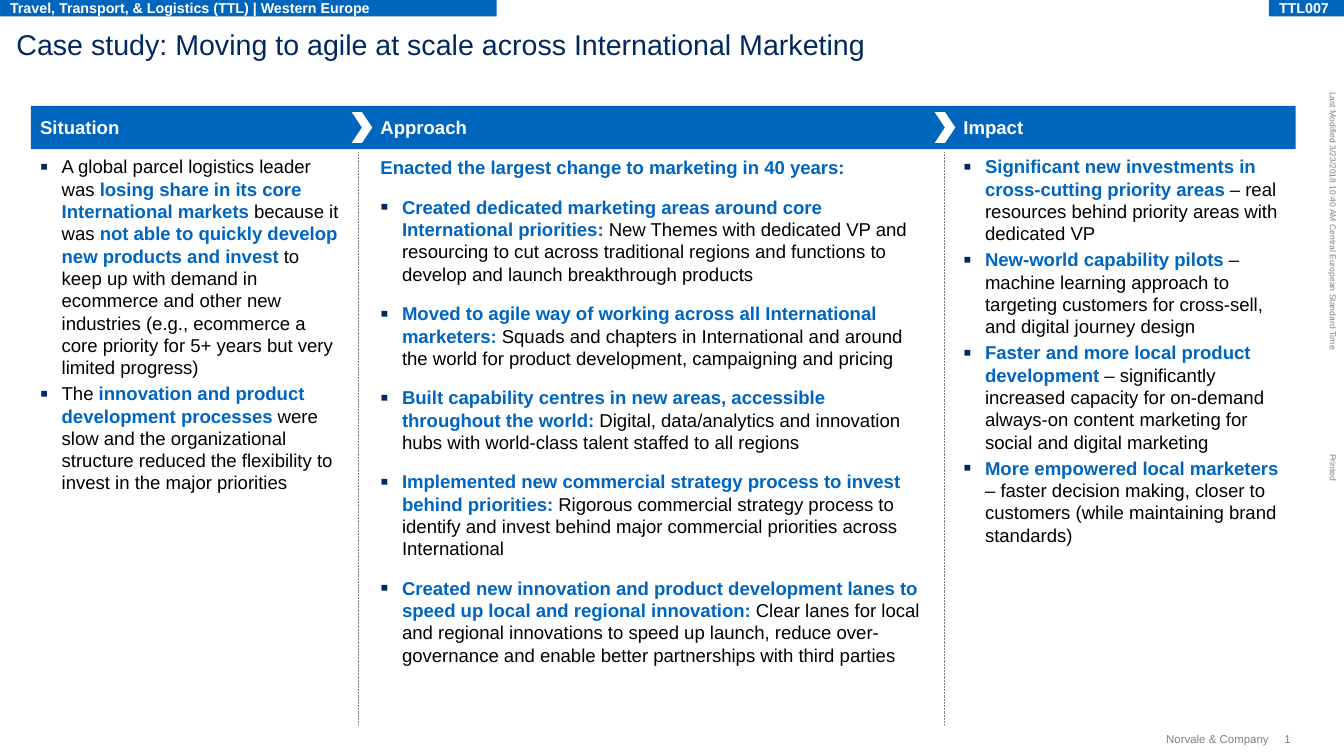
from dataclasses import dataclass

from lxml import etree
from pptx import Presentation
from pptx.dml.color import RGBColor
from pptx.enum.dml import MSO_LINE_DASH_STYLE as Dash
from pptx.enum.shapes import MSO_CONNECTOR_TYPE as Connector, MSO_SHAPE as Shape
from pptx.enum.text import MSO_ANCHOR as Anchor, PP_ALIGN as Align
from pptx.oxml.ns import qn
from pptx.util import Inches, Pt


@dataclass(frozen=True)
class Theme:
    font: str = "Arial"
    blue: str = "0065BD"
    navy: str = "002960"
    white: str = "FFFFFF"
    black: str = "000000"
    gray: str = "808080"
    title: float = 20
    body: float = 13
    banner: float = 10
    footer: float = 8
    stamp: float = 6


THEME = Theme()
INDENT = 0.21

# Column content; ** marks the highlighted words
SITUATION = [
    "A global parcel logistics leader was **losing share in its core International markets **because it was "
    "**not able to quickly develop new products and invest **to keep up with demand in ecommerce and other "
    "new industries (e.g., ecommerce a core priority for 5+ years but very limited progress)",
    "The **innovation and product development processes **were slow and the organizational structure reduced "
    "the flexibility to invest in the major priorities",
]
APPROACH_LEAD = "**Enacted the largest change to marketing in 40 years:**"
APPROACH = [
    "**Created dedicated marketing areas around core International priorities: **New Themes with dedicated VP "
    "and resourcing to cut across traditional regions and functions to develop and launch breakthrough products",
    "**Moved to agile way of working across all International marketers: **Squads and chapters in International "
    "and around the world for product development, campaigning and pricing",
    "**Built capability centres in new areas, accessible throughout the world: **Digital, data/analytics and "
    "innovation hubs with world-class talent staffed to all regions",
    "**Implemented new commercial strategy process to invest behind priorities: **Rigorous commercial strategy "
    "process to identify and invest behind major commercial priorities across International",
    "**Created new innovation and product development lanes to speed up local and regional innovation: **Clear "
    "lanes for local and regional innovations to speed up launch, reduce over-governance and enable better "
    "partnerships with third parties",
]
IMPACT = [
    "**Significant new investments in cross-cutting priority areas **– real resources behind priority areas "
    "with dedicated VP",
    "**New-world capability pilots **– machine learning approach to targeting customers for cross-sell, and "
    "digital journey design",
    "**Faster and more local product development **– significantly increased capacity for on-demand always-on "
    "content marketing for social and digital marketing",
    "**More empowered local marketers **– faster decision making, closer to customers (while maintaining brand "
    "standards)",
]


def color(value):
    return RGBColor.from_string(value)


def add_bullet(paragraph):
    properties = paragraph._p.get_or_add_pPr()
    properties.set("marL", str(Inches(INDENT)))
    properties.set("indent", str(-Inches(INDENT)))
    bullet_color = etree.SubElement(properties, qn("a:buClr"))
    etree.SubElement(bullet_color, qn("a:srgbClr"), val=THEME.navy)
    etree.SubElement(properties, qn("a:buSzPct"), val="125000")
    etree.SubElement(properties, qn("a:buFont"), typeface=THEME.font)
    etree.SubElement(properties, qn("a:buChar"), char="▪")


def write(paragraph, text, *, size=THEME.body, ink=THEME.black, bold=False, align=Align.LEFT,
          bullet=False, before=0):
    """Write text; parts between ** marks become bold and blue."""
    if bullet:
        add_bullet(paragraph)
    paragraph.alignment = align
    paragraph.space_before = Pt(before)
    for index, part in enumerate(text.split("**")):
        if part:
            highlighted = index % 2 == 1
            run = paragraph.add_run()
            run.text = part
            run.font.name = THEME.font
            run.font.size = Pt(size)
            run.font.bold = bold or highlighted
            run.font.color.rgb = color(THEME.blue if highlighted else ink)


def add_text(slide, box, text, *, anchor=Anchor.TOP, wrap=True, bottom=0, rotation=0, **style):
    shape = slide.shapes.add_textbox(*map(Inches, box))
    shape.rotation = rotation
    frame = shape.text_frame
    frame.margin_left = frame.margin_right = frame.margin_top = 0
    frame.margin_bottom = Inches(bottom)
    frame.word_wrap = wrap
    frame.vertical_anchor = anchor
    write(frame.paragraphs[0], text, **style)
    return frame


def add_block(slide, box, fill, kind=Shape.RECTANGLE):
    shape = slide.shapes.add_shape(kind, *map(Inches, box))
    shape.shadow.inherit = False
    shape.fill.solid()
    shape.fill.fore_color.rgb = color(fill)
    shape.line.fill.background()
    return shape


def add_banner(slide, left, width, text):
    frame = add_block(slide, (left, 0, width, 0.16), THEME.blue).text_frame
    frame.word_wrap = False
    frame.vertical_anchor = Anchor.MIDDLE
    write(frame.paragraphs[0], text, size=THEME.banner, ink=THEME.white, bold=True)


def add_divider(slide, x):
    line = slide.shapes.add_connector(Connector.STRAIGHT, Inches(x), Inches(1.48), Inches(x), Inches(7.05))
    line.line.color.rgb = color(THEME.gray)
    line.line.width = Pt(0.5)
    line.line.dash_style = Dash.ROUND_DOT
    etree.SubElement(line._element.spPr, qn("a:effectLst"))


def add_column(slide, left, width, heading, body, bullets, gap, lead=None):
    add_text(slide, (left, 1.12, width, 0.24), heading, anchor=Anchor.BOTTOM, bottom=0.02,
             ink=THEME.white, bold=True)
    top, height = body
    first, rest = (lead, bullets) if lead else (bullets[0], bullets[1:])
    frame = add_text(slide, (left, top, width, height), first, bullet=lead is None)
    for text in rest:
        write(frame.add_paragraph(), text, bullet=True, before=gap)


def main():
    presentation = Presentation()
    presentation.slide_width = Inches(13.07)
    presentation.slide_height = Inches(7.35)
    slide = presentation.slides.add_slide(presentation.slide_layouts[6])

    # Side stamps and footer
    stamp = dict(rotation=90, wrap=False, size=THEME.stamp, ink=THEME.gray)
    add_text(slide, (11.69, 2.12, 2.55, 0.1),
             "Last Modified 3/23/2018 10:40 AM Central European Standard Time", **stamp)
    add_text(slide, (12.83, 4.5, 0.27, 0.1), "Printed", **stamp)
    footer = dict(anchor=Anchor.MIDDLE, wrap=False, size=THEME.footer, ink=THEME.gray)
    add_text(slide, (12.49, 7.12, 0.14, 0.13), "1", **footer)
    add_text(slide, (11.23, 7.12, 1.11, 0.13), "Norvale & Company", align=Align.RIGHT, **footer)

    # Title and top banners
    add_text(slide, (0.16, 0.26, 11.47, 0.34),
             "Case study: Moving to agile at scale across International Marketing",
             size=THEME.title, ink=THEME.navy)
    add_banner(slide, 0, 4.83, "Travel, Transport, & Logistics (TTL) | Western Europe")
    add_banner(slide, 12.34, 0.73, "TTL007")

    # Three columns under one header bar
    add_block(slide, (0.3, 1.03, 12.3, 0.42), THEME.blue)
    add_column(slide, 0.39, 2.91, "Situation", (1.51, 3.33), SITUATION, 2.6)
    add_column(slide, 3.7, 5.31, "Approach", (1.52, 5), APPROACH, 12, lead=APPROACH_LEAD)
    add_column(slide, 9.37, 3.17, "Impact", (1.51, 3.85), IMPACT, 2.6)

    # Separators between the columns
    for chevron_left, divider_x in ((3.42, 3.49), (9.09, 9.18)):
        add_block(slide, (chevron_left, 1.09, 0.2, 0.3), THEME.white, Shape.CHEVRON)
        add_divider(slide, divider_x)

    presentation.save("out.pptx")


if __name__ == "__main__":
    main()
